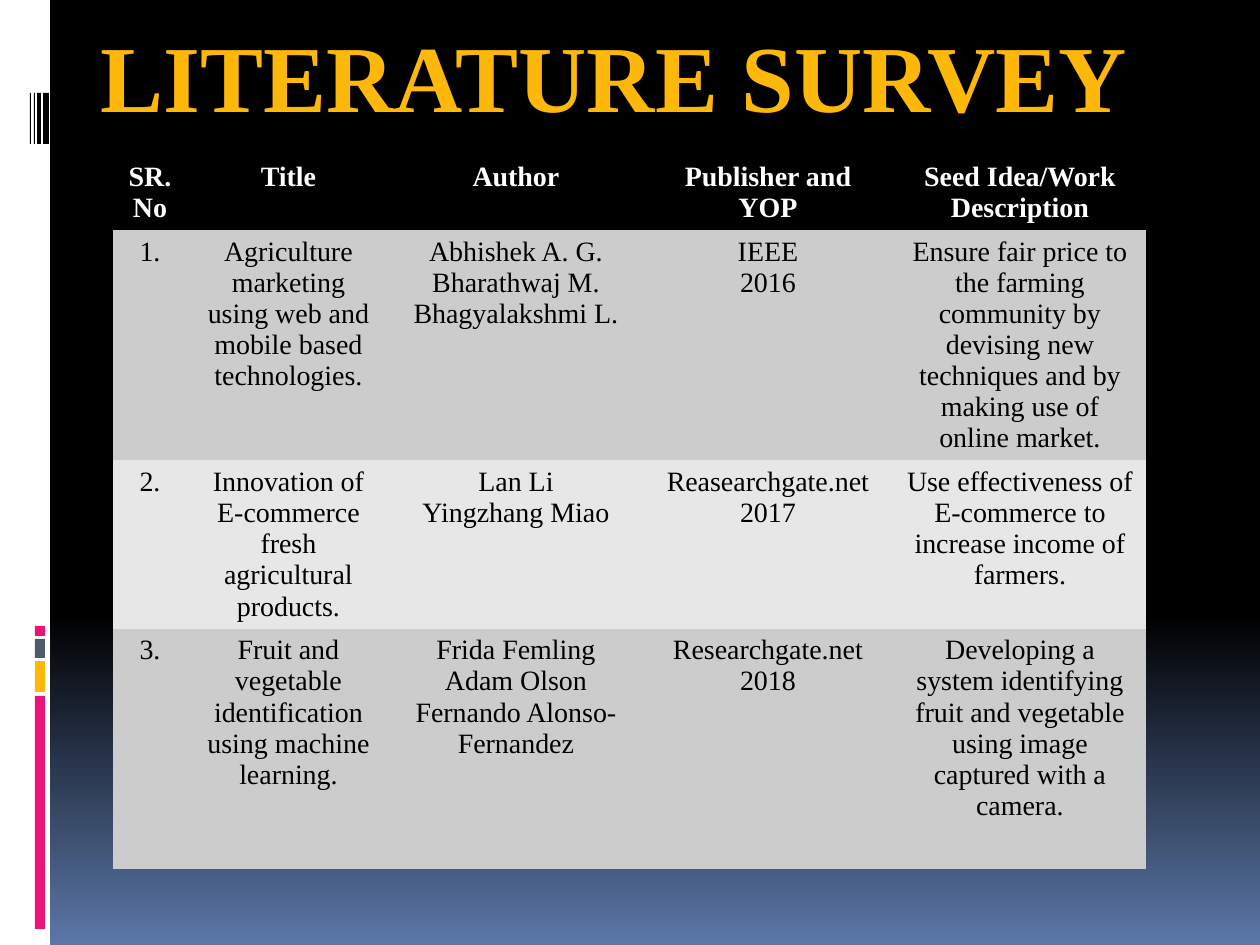
from pptx import Presentation
from pptx.dml.color import RGBColor
from pptx.enum.shapes import MSO_SHAPE
from pptx.enum.text import MSO_ANCHOR, PP_ALIGN
from pptx.util import Pt

SCALE = 914400 / 126
PLAIN = "{2D5ABB26-0587-4C30-8999-92F81FD0307C}"
BLACK, WHITE, PINK, GOLD, SLATE = "000000", "FFFFFF", "EA157A", "FEB80A", "4E5B6F"
BANDS = ["CCCCCC", "E7E7E7"]
BARS = [
    (0, 0, 50, 945, WHITE),
    (43, 93, 6, 51, BLACK),
    (37, 93, 4, 51, BLACK),
    (34, 93, 1, 51, BLACK),
    (30, 93, 1, 51, BLACK),
    (35, 696, 10, 233, PINK),
    (35, 661, 10, 31, GOLD),
    (35, 639, 10, 19, SLATE),
    (35, 626, 10, 10, PINK),
]
COLS = [74, 203, 252, 252, 252]
ROWS = [75, 230, 168, 241]
SURVEY = [
    ["SR. No", "Title", "Author", "Publisher and YOP", "Seed Idea/Work Description"],
    ["1.", "Agriculture marketing using web and mobile based technologies.",
     "Abhishek A. G.\nBharathwaj M.\nBhagyalakshmi L.", "IEEE\n2016",
     "Ensure fair price to the farming community by devising new techniques "
     "and by making use of online market."],
    ["2.", "Innovation of E-commerce fresh agricultural products.",
     "Lan Li\nYingzhang Miao", "Reasearchgate.net\n2017",
     "Use effectiveness of E-commerce to increase income of farmers."],
    ["3.", "Fruit and vegetable identification using machine learning.",
     "Frida Femling\nAdam Olson\nFernando Alonso-Fernandez", "Researchgate.net\n2018",
     "Developing a system identifying fruit and vegetable using image "
     "captured with a camera."],
]


def px(size):
    return round(size * SCALE)


def tint(code):
    return RGBColor.from_string(code)


class Deck:
    """Holds the style and the current slide."""

    def __init__(self):
        self.font = "Times New Roman"
        self.show = Presentation()
        self.show.slide_width, self.show.slide_height = px(1260), px(945)
        self.slide = self.show.slides.add_slide(self.show.slide_layouts[5])

    def fade(self, start, end, stop):
        fill = self.slide.background.fill
        fill.gradient()
        fill.gradient_angle = 270
        for mark, code, spot in zip(fill.gradient_stops, (start, end), (stop, 1)):
            mark.color.rgb = tint(code)
            mark.position = spot

    def bar(self, left, top, wide, high, code):
        shape = self.slide.shapes.add_shape(
            MSO_SHAPE.RECTANGLE, px(left), px(top), px(wide), px(high))
        shape.shadow.inherit = False
        shape.fill.solid()
        shape.fill.fore_color.rgb = tint(code)
        shape.line.fill.background()

    def words(self, frame, text, size, code, bold, align):
        for spot, line in enumerate(text.split("\n")):
            para = frame.add_paragraph() if spot else frame.paragraphs[0]
            para.alignment = align
            run = para.add_run()
            run.text = line
            run.font.name, run.font.size = self.font, Pt(size)
            run.font.bold = bold
            run.font.color.rgb = tint(code)

    def title(self, text, left, top, wide, high):
        shape = self.slide.shapes.title
        shape.left, shape.top = px(left), px(top)
        shape.width, shape.height = px(wide), px(high)
        frame = shape.text_frame
        frame.word_wrap = True
        frame.vertical_anchor = MSO_ANCHOR.TOP
        frame.margin_top = px(18)
        self.words(frame, text, 54, GOLD, True, PP_ALIGN.LEFT)

    def table(self, data, left, top, cols, rows):
        frame = self.slide.shapes.add_table(
            len(rows), len(cols), px(left), px(top), px(sum(cols)), px(sum(rows)))
        frame.element.find(".//{*}tableStyleId").text = PLAIN
        grid = frame.table
        for col, wide in zip(grid.columns, cols):
            col.width = px(wide)
        for spot, (row, high) in enumerate(zip(grid.rows, rows)):
            row.height = px(high)
            head = spot == 0
            for cell, text in zip(row.cells, data[spot]):
                cell.fill.solid()
                cell.fill.fore_color.rgb = tint(BLACK if head else BANDS[(spot - 1) % 2])
                self.words(cell.text_frame, text, 16, WHITE if head else BLACK,
                           head, PP_ALIGN.CENTER)


def main():
    deck = Deck()
    deck.fade(BLACK, "5B77A8", 0.65)
    for bar in BARS:
        deck.bar(*bar)
    deck.title("LITERATURE SURVEY", 88, 0, 1071, 203)
    deck.table(SURVEY, 113, 155, COLS, ROWS)
    deck.show.save("out.pptx")


if __name__ == "__main__":
    main()
